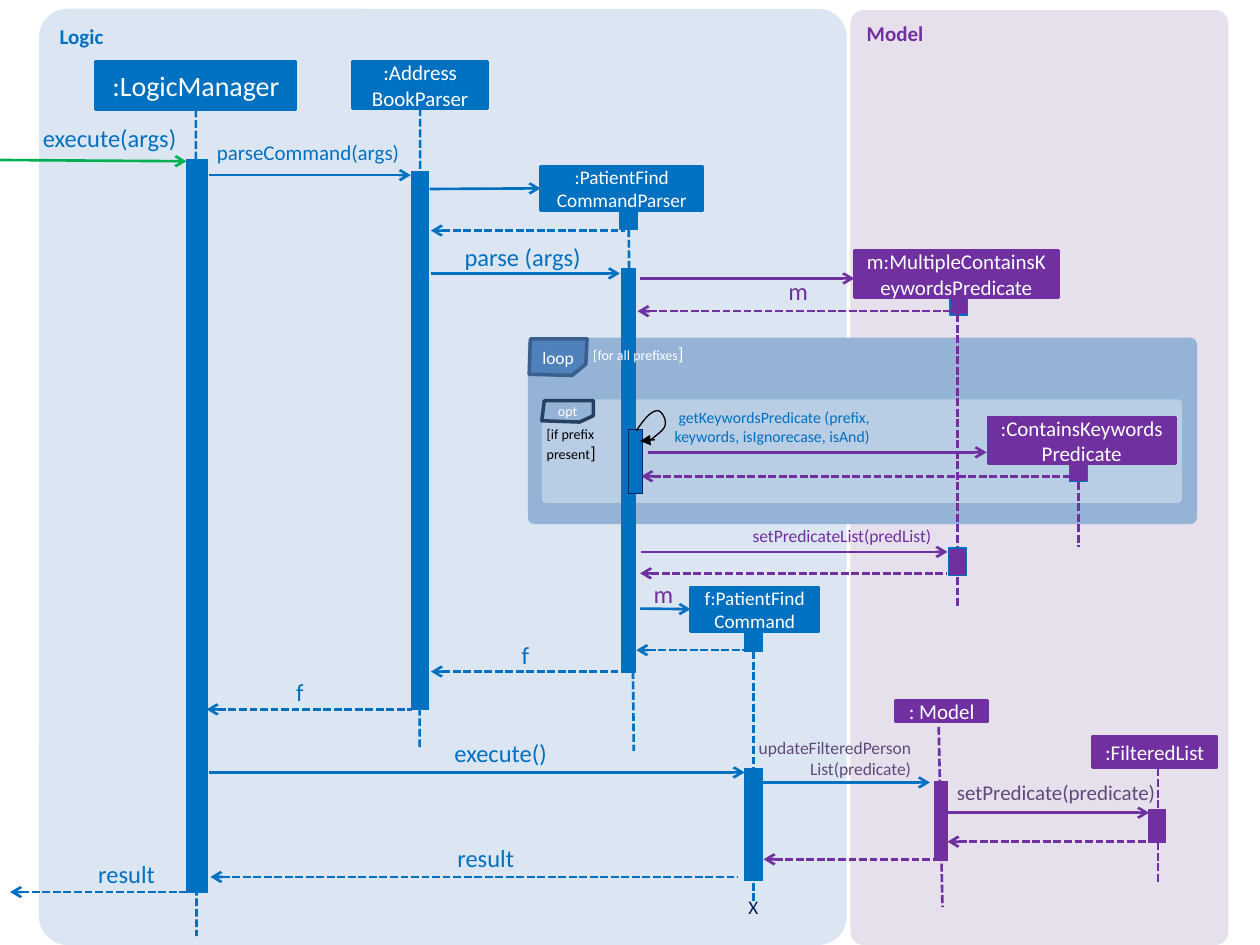
from dataclasses import dataclass

from lxml import etree
from pptx import Presentation
from pptx import util as u
from pptx.dml.color import RGBColor
from pptx.enum import dml, shapes, text
from pptx.oxml.ns import qn


@dataclass(frozen=True)
class Theme:
    font: str = "Calibri"
    blue: str = "0070C0"
    purple: str = "7030A0"
    plum: str = "604A7B"
    green: str = "00B050"
    navy: str = "002060"
    black: str = "000000"
    white: str = "FFFFFF"
    logic: str = "DCE6F2"
    model: str = "E6E0EC"
    loop: str = "95B3D7"
    opt: str = "B9CDE5"
    tab: str = "4F81BD"
    tab_edge: str = "3A5F8C"
    opt_edge: str = "254061"
    title: int = 16
    large: int = 14
    body: int = 12
    medium: int = 11
    small: int = 10
    note: int = 9
    tiny: int = 8


T = Theme()
RECT = shapes.MSO_SHAPE.RECTANGLE
ROUND = shapes.MSO_SHAPE.ROUNDED_RECTANGLE


def inside(box, part):
    return box[0] + part[0], box[1] + part[1], *part[2:]


def inches(values):
    return [u.Inches(v) for v in values]


def add_text(sp, words, size=T.body, color=T.white, align="CENTER", anchor="MIDDLE",
             bold=False, wrap=True, inset=None, end=""):
    tf = sp.text_frame
    tf.word_wrap = wrap
    tf.vertical_anchor = getattr(text.MSO_ANCHOR, anchor)
    if inset is not None:
        tf.margin_left = tf.margin_right = tf.margin_top = tf.margin_bottom = u.Inches(inset)
    for i, line in enumerate(words.split("\n")):
        p = tf.paragraphs[0] if i == 0 else tf.add_paragraph()
        p.alignment = getattr(text.PP_ALIGN, align)
        for part, pt in ((line, size), (end, T.small)):
            if part:
                r = p.add_run()
                r.text = part
                r.font.name, r.font.size, r.font.bold = T.font, u.Pt(pt), bold
                r.font.color.rgb = RGBColor.from_string(color)


def add_label(s, box, words, **style):
    sp = s.shapes.add_textbox(*inches(box))
    add_text(sp, words, anchor="TOP", **style)
    sp.text_frame.auto_size = text.MSO_AUTO_SIZE.SHAPE_TO_FIT_TEXT


def paint(sp, fill=None, edge=None, width=0.75):
    sp.shadow.inherit = False
    for part, color in ((sp.fill, fill), (sp.line.fill, edge)):
        if color:
            part.solid()
            part.fore_color.rgb = RGBColor.from_string(color)
        else:
            part.background()
    if edge:
        sp.line.width = u.Pt(width)


def add_box(s, box, kind=RECT, **style):
    sp = s.shapes.add_shape(kind, *inches(box))
    if kind == ROUND:
        sp.adjustments[0] = 0.035
    paint(sp, **style)
    return sp


def add_outline(s, box, points, close=True, **style):
    pts = [inches(inside(box, p)) for p in points]
    builder = s.shapes.build_freeform(*pts[0])
    builder.add_line_segments(pts[1:], close=close)
    sp = builder.convert_to_shape()
    paint(sp, **style)
    return sp


def add_line(s, points, color, width=1.5, dashed=False, arrow=None, kind="arrow"):
    sp = s.shapes.add_connector(shapes.MSO_CONNECTOR.STRAIGHT, *inches(points))
    sp.line.color.rgb = RGBColor.from_string(color)
    sp.line.width = u.Pt(width)
    if dashed:
        sp.line.dash_style = dml.MSO_LINE.SQUARE_DOT
    if arrow:
        etree.SubElement(sp.line._get_or_add_ln(), qn(f"a:{arrow}End"), type=kind)
    etree.SubElement(sp._element.spPr, qn("a:effectLst"))
    return sp


def draw_panel(s, box, title, fill, color):
    sp = add_box(s, box, ROUND, fill=fill)
    add_text(sp, title, color=color, align="LEFT", anchor="TOP", bold=True)


def draw_participant(s, box, name, color, end, start=None, bar=None, stub=None,
                     edge=T.blue, size=T.body):
    foot = add_box(s, inside(box, stub), fill=color, edge=edge) if stub else None
    head = add_box(s, box, fill=color, edge=color, width=1.5)
    add_text(head, name, size=size)
    x, y = start or (box[2] / 2, box[3])
    life = add_line(s, inside(box, (x, y)) + inside(box, end), color, dashed=True)
    if start is None:
        life.begin_connect(foot or head, 2)
    if bar:
        add_box(s, inside(box, bar), fill=color, edge=edge)
    return head


def draw_loop_frame(s, box):
    add_box(s, box, ROUND, fill=T.loop)
    add_box(s, inside(box, (0.11, 0.49, 5.08, 0.82)), ROUND, fill=T.opt)
    loop = [(0.01, 0.29), (0.35, 0.3), (0.46, 0.21), (0.47, 0.01), (0.02, 0.01)]
    opt = [(0.11, 0.66), (0.41, 0.67), (0.52, 0.62), (0.52, 0.5), (0.13, 0.5)]
    for name, points, fill, edge, size in (("loop", loop, T.tab, T.tab_edge, T.small),
                                           ("opt", opt, T.loop, T.opt_edge, T.tiny)):
        sp = add_outline(s, box, points, fill=fill, edge=edge, width=2)
        add_text(sp, name, size=size)


def curve(points, steps=10):
    path = [points[0]]
    for i in range(0, len(points) - 1, 3):
        a, b, c, d = points[i:i + 4]
        for t in (n / steps for n in range(1, steps + 1)):
            m = 1 - t
            path.append(tuple(m**3 * a[k] + 3 * m * m * t * b[k] + 3 * m * t * t * c[k]
                              + t**3 * d[k] for k in (0, 1)))
    return path


def draw_loop_call(s, box):
    add_box(s, inside(box, (0.8, 0.73, 0.11, 0.51)), fill=T.blue, edge=T.navy)
    arc = [(0.86, 0.74), (0.94, 0.62), (0.98, 0.59), (1.02, 0.58), (1.06, 0.57),
           (1.1, 0.65), (1.09, 0.69), (1.09, 0.73), (1.01, 0.78), (0.99, 0.8),
           (0.96, 0.82), (0.93, 0.84), (0.95, 0.82)]
    add_outline(s, box, curve(arc), close=False, edge=T.black)
    add_line(s, inside(box, (1.01, 0.81)) + inside(box, (0.89, 0.82)), T.black,
             width=0.75, arrow="tail", kind="triangle")
    add_label(s, inside(box, (1.02, 0.56, 1.69, 0.3)),
              "getKeywordsPredicate (prefix, keywords, isIgnorecase, isAnd)",
              size=T.note, color=T.blue, align="RIGHT", inset=0)
    for part, words, color in (((0.42, -0.01, 0.95, 0.27), "[for all prefixes", T.white),
                               ((0.05, 0.65, 0.61, 0.4), "[if prefix present", T.black)):
        add_label(s, inside(box, part), words, size=T.tiny, color=color, align="LEFT", end="]")


def draw_messages(s, box, parser, command):
    calls = [
        (-0.01, 1.27, 1.48, 1.28, T.green, None), (3.41, 1.5, 4.29, 1.5, T.blue, parser),
        (1.66, 1.39, 3.26, 1.39, T.blue, None), (5.08, 2.21, 6.78, 2.21, T.purple, None),
        (3.42, 2.17, 4.92, 2.17, T.blue, None), (5.14, 3.59, 7.83, 3.59, T.purple, None),
        (5.09, 4.38, 7.52, 4.38, T.purple, None), (5.08, 4.83, 5.48, 4.83, T.blue, command),
        (1.66, 6.13, 5.91, 6.13, T.blue, None), (7.51, 6.45, 9.12, 6.45, T.purple, None),
        (6.05, 6.21, 7.38, 6.21, T.blue, None)]
    for x1, y1, x2, y2, color, target in calls:
        line = add_line(s, inside(box, (x1, y1)) + inside(box, (x2, y2)), color, arrow="tail")
        if target:
            line.end_connect(target, 1)
    returns = [
        (3.42, 4.96, 1.83, T.blue), (5.05, 5.98, 5.16, T.blue), (5.08, 7.52, 4.55, T.purple),
        (5.06, 7.58, 2.47, T.purple), (5.09, 8.49, 3.78, T.purple), (3.42, 4.92, 5.33, T.blue),
        (1.64, 3.27, 5.63, T.blue), (7.52, 9.13, 6.68, T.purple), (6.06, 7.48, 6.82, T.purple),
        (1.67, 5.86, 6.96, T.blue), (0.08, 1.5, 7.08, T.blue)]
    for x1, x2, y, color in returns:
        add_line(s, inside(box, (x1, y)) + inside(box, (x2, y)), color, dashed=True, arrow="head")
    labels = [
        (-0.16, 0.98, 1.56, 0.24, "execute(args)", T.large, T.blue),
        (1.64, 1.11, 1.53, 0.2, "parseCommand(args)", T.body, T.blue),
        (3.43, 5.08, 0.77, 0.24, "f", T.large, T.blue),
        (3.61, 1.92, 1, 0.24, "parse (args)", T.large, T.blue),
        (5.64, 4.17, 1.75, 0.17, "setPredicateList(predList)", T.small, T.purple),
        (1.64, 5.37, 0.77, 0.24, "f", T.large, T.blue),
        (3.19, 5.86, 1.15, 0.24, "execute()", T.large, T.blue),
        (7.5, 6.19, 1.67, 0.2, "setPredicate(predicate)", T.body, T.plum),
        (6, 5.85, 1.23, 0.34, "updateFilteredPersonList(predicate)", T.small, T.plum),
        (3.4, 6.69, 0.68, 0.24, "result", T.large, T.blue),
        (0.55, 6.82, 0.68, 0.24, "result", T.large, T.blue)]
    for *part, words, size, color in labels:
        add_label(s, inside(box, part), words, size=size, color=color, align="RIGHT", inset=0)
    marks = [(6.16, 2.14, 0.36, 0.34, "m", T.large, T.purple),
             (5.09, 4.55, 0.36, 0.34, "m", T.large, T.purple),
             (5.84, 7.06, 0.28, 0.29, "X", T.medium, T.navy)]
    for *part, words, size, color in marks:
        add_label(s, inside(box, part), words, size=size, color=color, align="LEFT", wrap=False)


def main():
    prs = Presentation()
    prs.slide_width, prs.slide_height = inches((10, 7.5))
    s = prs.slides.add_slide(prs.slide_layouts[6])
    loop = (4.19, 2.68, 5.31, 1.48)
    draw_panel(s, (6.75, 0.08, 3, 7.42), "Model", T.model, T.purple)
    draw_panel(s, (0.31, 0.07, 6.41, 7.43), "Logic", T.logic, T.blue)
    draw_loop_frame(s, loop)
    draw_participant(s, (0.76, 0.49, 1.59, 0.38), ":LogicManager", T.blue, (0.8, 6.94),
                     bar=(0.72, 0.78, 0.17, 5.81), size=T.title)
    draw_participant(s, (2.8, 0.49, 1.07, 0.37), ":Address\nBookParser", T.blue, (0.53, 5.44),
                     bar=(0.47, 0.87, 0.13, 4.27))
    parser = draw_participant(s, (4.29, 1.32, 1.29, 0.35), ":PatientFind\nCommandParser", T.blue,
                              (0.74, 4.64), bar=(0.64, 0.81, 0.11, 3.21),
                              stub=(0.63, 0.28, 0.14, 0.22), size=T.medium)
    command = draw_participant(s, (5.48, 4.66, 1.02, 0.35), "f:PatientFind\nCommand", T.blue,
                               (0.5, 2.51), bar=(0.43, 1.44, 0.14, 0.89),
                               stub=(0.43, 0.29, 0.14, 0.22), size=T.medium)
    draw_participant(s, (6.78, 1.99, 1.62, 0.37), "m:MultipleContainsKeywordsPredicate", T.purple,
                     (0.82, 2.83), (0.82, 0.42), (0.75, 2.36, 0.14, 0.22), (0.76, 0.29, 0.14, 0.22))
    draw_participant(s, (7.84, 3.31, 1.49, 0.37), ":ContainsKeywordsPredicate", T.purple,
                     (0.72, 1.03), (0.72, 0.35), stub=(0.65, 0.29, 0.14, 0.22))
    draw_participant(s, (7.11, 5.56, 0.73, 0.17), ": Model", T.purple, (0.37, 1.64), (0.34, 0.21),
                     (0.31, 0.64, 0.1, 0.63), edge=T.purple)
    draw_participant(s, (8.67, 5.84, 0.99, 0.25), ":FilteredList", T.purple, (0.52, 1.17),
                     (0.52, 0.26), (0.45, 0.59, 0.13, 0.26), edge=T.purple)
    draw_loop_call(s, loop)
    draw_messages(s, (0, 0, 10, 7.5), parser, command)
    prs.save("out.pptx")


if __name__ == "__main__":
    main()
